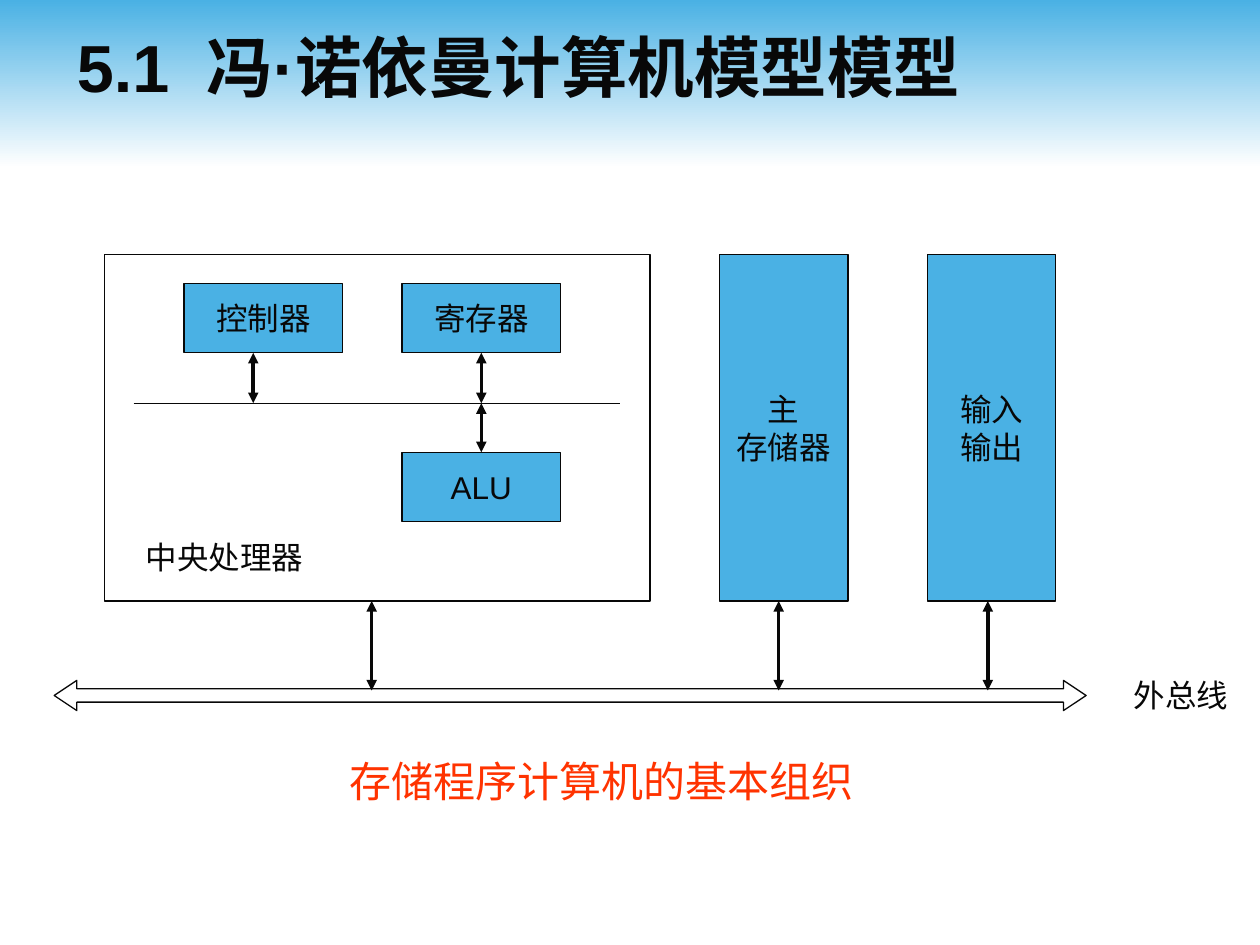
from dataclasses import dataclass
from typing import Optional

from lxml.etree import SubElement
from pptx import Presentation
from pptx.dml.color import RGBColor
from pptx.enum.shapes import MSO_CONNECTOR, MSO_SHAPE
from pptx.enum.text import MSO_ANCHOR, MSO_AUTO_SIZE, PP_ALIGN
from pptx.oxml.ns import qn
from pptx.util import Inches, Pt

INK, BLUE, WHITE, RED = "080808", "4AB1E4", "FFFFFF", "FF3300"
BOX_TOP, BOX_H = 2.02, 2.75
UNIT_W, UNIT_H = 1.26, 0.55
LEFT_X, RIGHT_X = 1.46, 3.19
UPPER_Y, LOWER_Y, INNER_BUS_Y = 2.25, 3.59, 3.2
MEMORY_X, IO_X, TALL_W = 5.71, 7.36, 1.02


@dataclass
class Box:
    x: float
    y: float
    w: float
    h: float
    text: str = ""
    fill: Optional[str] = BLUE
    kind: MSO_SHAPE = MSO_SHAPE.RECTANGLE


@dataclass
class Label:
    x: float
    y: float
    w: float
    h: float
    text: str
    size: float = 18
    color: str = INK
    align: PP_ALIGN = PP_ALIGN.LEFT


@dataclass
class Link:
    x1: float
    y1: float
    x2: float
    y2: float
    width: float = 2
    heads: bool = True


BOXES = [
    Box(0.83, BOX_TOP, 4.33, BOX_H, fill=None),
    Box(LEFT_X, UPPER_Y, UNIT_W, UNIT_H, "控制器"),
    Box(RIGHT_X, UPPER_Y, UNIT_W, UNIT_H, "寄存器"),
    Box(RIGHT_X, LOWER_Y, UNIT_W, UNIT_H, "ALU"),
    Box(MEMORY_X, BOX_TOP, TALL_W, BOX_H, "主\n存储器"),
    Box(IO_X, BOX_TOP, TALL_W, BOX_H, "输入\n输出"),
    Box(0.43, 5.4, 8.19, 0.24, fill=None, kind=MSO_SHAPE.LEFT_RIGHT_ARROW),
]
LABELS = [
    Label(1.06, 4.22, 1.57, 0.4, "中央处理器"),
    Label(8.9, 5.32, 1.1, 0.4, "外总线"),
    Label(0.83, 5.95, 7.88, 0.5, "存储程序计算机的基本组织", 24, RED, PP_ALIGN.CENTER),
]
RIGHT_MID = RIGHT_X + UNIT_W / 2
INNER_LINKS = [
    Link(1.06, INNER_BUS_Y, 4.92, INNER_BUS_Y, 0.75, False),
    Link(2.01, UPPER_Y + UNIT_H, 2.01, INNER_BUS_Y),
    Link(RIGHT_MID, UPPER_Y + UNIT_H, RIGHT_MID, INNER_BUS_Y),
    Link(RIGHT_MID, INNER_BUS_Y, RIGHT_MID, LOWER_Y),
]
BUS_LINKS = [Link(x, BOX_TOP + BOX_H, x, 5.48) for x in (2.95, 6.18, 7.84)]


def rgb(value: str) -> RGBColor:
    return RGBColor.from_string(value)


def write(tf, text: str, size: float, color: str, align: PP_ALIGN, **frame) -> None:
    for name, value in frame.items():
        setattr(tf, name, value)
    tf.text = text
    for p in tf.paragraphs:
        p.alignment = align
        for r in p.runs:
            for name, value in {"size": Pt(size), "name": "Arial"}.items():
                setattr(r.font, name, value)
            r.font.color.rgb = rgb(color)


def add_box(s, box: Box):
    sp = s.shapes.add_shape(box.kind, *map(Inches, (box.x, box.y, box.w, box.h)))
    sp.shadow.inherit = False
    if box.fill:
        sp.fill.solid()
        sp.fill.fore_color.rgb = rgb(box.fill)
    else:
        sp.fill.background()
    sp.line.color.rgb = rgb(INK)
    sp.line.width = Pt(0.75)
    if box.kind == MSO_SHAPE.LEFT_RIGHT_ARROW:
        sp.adjustments[0], sp.adjustments[1] = 0.44, 0.75
    if box.text:
        write(sp.text_frame, box.text, 18, INK, PP_ALIGN.CENTER,
              word_wrap=False, vertical_anchor=MSO_ANCHOR.MIDDLE)
    return sp


def add_label(s, label: Label) -> None:
    sp = s.shapes.add_textbox(*map(Inches, (label.x, label.y, label.w, label.h)))
    write(sp.text_frame, label.text, label.size, label.color, label.align,
          word_wrap=True, auto_size=MSO_AUTO_SIZE.SHAPE_TO_FIT_TEXT)


def add_link(s, link: Link) -> None:
    ends = map(Inches, (link.x1, link.y1, link.x2, link.y2))
    sp = s.shapes.add_connector(MSO_CONNECTOR.STRAIGHT, *ends)
    sp.line.color.rgb = rgb(INK)
    sp.line.width = Pt(link.width)
    if link.heads:
        for end in ("a:headEnd", "a:tailEnd"):
            SubElement(sp.line._get_or_add_ln(), qn(end), type="triangle")
    SubElement(sp._element.spPr, qn("a:effectLst"))


def add_band(s) -> None:
    sp = s.shapes.add_shape(MSO_SHAPE.RECTANGLE, 0, 0, Inches(10), Inches(1.33))
    sp.shadow.inherit = False
    sp.line.fill.background()
    sp.fill.gradient()
    sp.fill.gradient_angle = 270
    for stop, color in zip(sp.fill.gradient_stops, (BLUE, WHITE)):
        stop.color.rgb = rgb(color)
    s.shapes._spTree.insert(2, sp._element)


def set_title(s, text: str) -> None:
    sp = s.shapes.title
    place = {"left": 0.51, "top": 0.05, "width": 9, "height": 0.95}
    for name, value in place.items():
        setattr(sp, name, Inches(value))
    write(sp.text_frame, text, 38, INK, PP_ALIGN.LEFT, word_wrap=True,
          auto_size=MSO_AUTO_SIZE.NONE, vertical_anchor=MSO_ANCHOR.MIDDLE)
    sp.text_frame.paragraphs[0].font.bold = True
    for r in sp.text_frame.paragraphs[0].runs:
        r.font.bold = True


def main() -> None:
    prs = Presentation()
    prs.slide_width, prs.slide_height = Inches(10), Inches(7.5)
    s = prs.slides.add_slide(prs.slide_layouts[5])
    add_band(s)
    set_title(s, "5.1  冯·诺依曼计算机模型模型")
    for box in BOXES:
        add_box(s, box)
    for link in INNER_LINKS + BUS_LINKS:
        add_link(s, link)
    for label in LABELS:
        add_label(s, label)
    prs.save("out.pptx")


if __name__ == "__main__":
    main()
